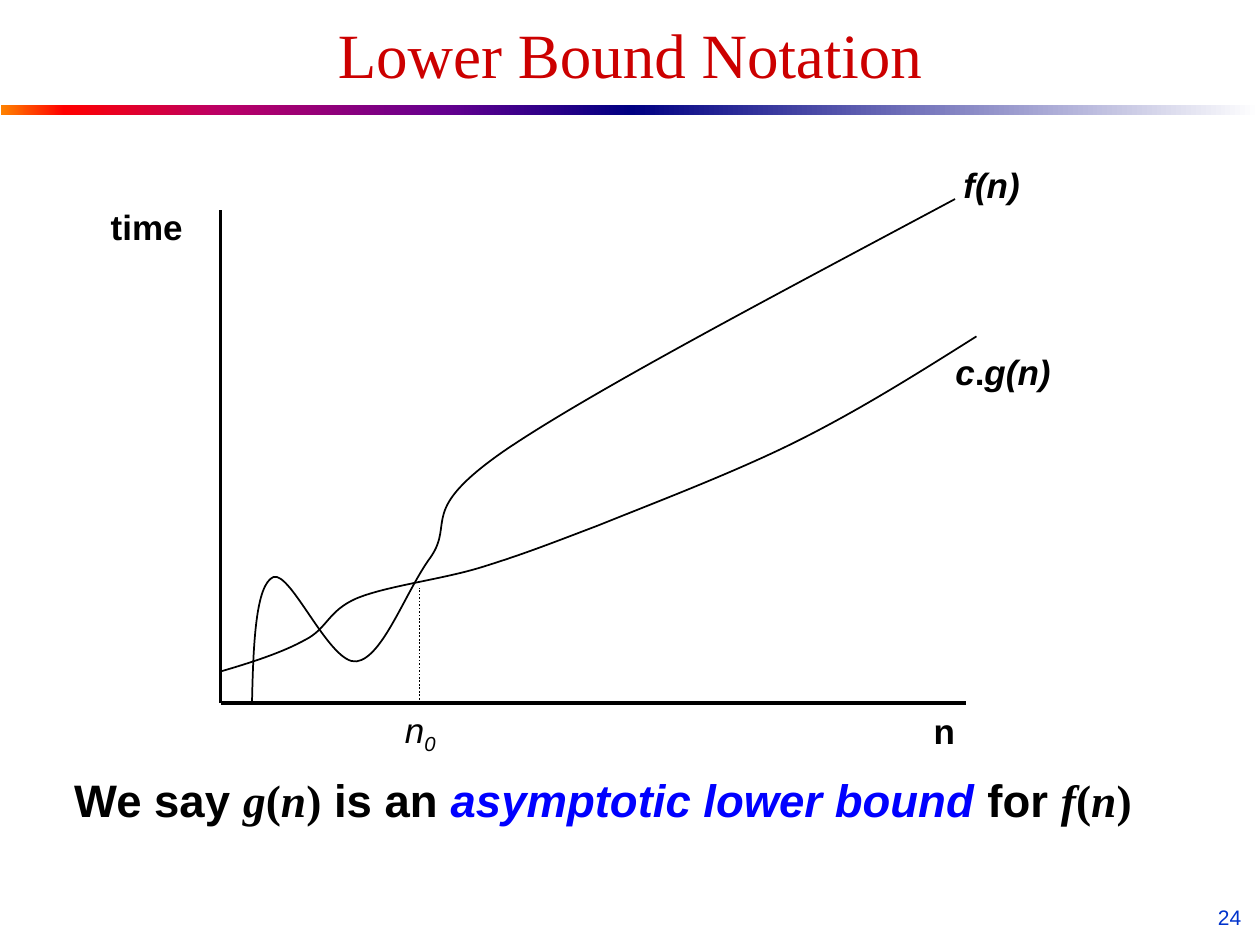
import lxml.etree
import pptx
import pptx.dml.color
import pptx.enum.dml
import pptx.enum.shapes
import pptx.enum.text
import pptx.oxml.ns
import pptx.util

Inches = pptx.util.Inches
RGBColor = pptx.dml.color.RGBColor
Align = pptx.enum.text.PP_ALIGN
Anchor = pptx.enum.text.MSO_ANCHOR
qn = pptx.oxml.ns.qn

BLACK = RGBColor(0x00, 0x00, 0x00)
WHITE = RGBColor(0xFF, 0xFF, 0xFF)
TITLE_RED = RGBColor(0xCC, 0x00, 0x00)
TERM_BLUE = RGBColor(0x00, 0x00, 0xFF)
NUMBER_BLUE = RGBColor(0x00, 0x33, 0xCC)
ORANGE = RGBColor(0xFF, 0x82, 0x00)
RED = RGBColor(0xFF, 0x00, 0x00)
MAGENTA = RGBColor(0xBA, 0x00, 0x66)
PURPLE = RGBColor(0x66, 0x00, 0x8F)
NAVY = RGBColor(0x00, 0x00, 0x82)

SANS, SERIF = "Arial", "Times New Roman"
LABEL = {"name": SANS, "size": 20, "color": BLACK}
BOLD = {**LABEL, "bold": True}
BOLD_ITALIC = {**BOLD, "italic": True}
STATEMENT = {**BOLD, "size": 26}
SYMBOL = {**STATEMENT, "name": SERIF}
VARIABLE = {**SYMBOL, "italic": True}
TERM = {**STATEMENT, "italic": True, "color": TERM_BLUE}

ORIGIN_X, ORIGIN_Y = 1.75, 5.58
THRESHOLD_X = 3.33

# Each curve is a start point followed by triples of Bézier points.
LOWER_CURVE = [
    (1.75, 5.33),
    (1.99, 5.26), (2.24, 5.18), (2.42, 5.08),
    (2.6, 4.99), (2.6, 4.85), (2.83, 4.75),
    (3.07, 4.65), (3.51, 4.6), (3.83, 4.5),
    (4.15, 4.4), (4.33, 4.33), (4.75, 4.17),
    (5.17, 4), (5.83, 3.75), (6.33, 3.5),
    (6.83, 3.25), (7.29, 2.96), (7.75, 2.67),
]
UPPER_CURVE = [
    (2, 5.58),
    (2.01, 5.11), (2.03, 4.64), (2.17, 4.58),
    (2.31, 4.53), (2.62, 5.28), (2.83, 5.25),
    (3.04, 5.22), (3.22, 4.69), (3.42, 4.42),
    (3.61, 4.14), (3.31, 4.06), (4, 3.58),
    (4.69, 3.11), (6.14, 2.35), (7.58, 1.58),
]


def add_text(slide, box, runs, align=Align.CENTER, anchor=Anchor.TOP):
    """Add a one-paragraph text box from (text, format) runs."""
    shape = slide.shapes.add_textbox(*map(Inches, box))
    frame = shape.text_frame
    frame.word_wrap = True
    frame.vertical_anchor = anchor
    paragraph = frame.paragraphs[0]
    paragraph.alignment = align
    for text, text_format in runs:
        run = paragraph.add_run()
        run.text = text
        for key, value in text_format.items():
            if key == "color":
                run.font.color.rgb = value
            elif key == "size":
                run.font.size = pptx.util.Pt(value)
            elif key == "baseline":
                run.font._element.set("baseline", str(value))
            else:
                setattr(run.font, key, value)


def add_line(slide, start, end, width, dash=None):
    connector = slide.shapes.add_connector(
        pptx.enum.shapes.MSO_CONNECTOR.STRAIGHT, *map(Inches, start + end))
    connector.line.color.rgb = BLACK
    connector.line.width = pptx.util.Pt(width)
    if dash:
        connector.line.dash_style = dash
    lxml.etree.SubElement(connector._element.spPr, qn("a:effectLst"))


def add_curve(slide, points):
    """Draw an open outline and join each three of its points into a Bézier."""
    start, *others = [(Inches(x), Inches(y)) for x, y in points]
    builder = slide.shapes.build_freeform(*start)
    builder.add_line_segments(others, close=False)
    shape = builder.convert_to_shape()
    segments = list(shape._element.iter(qn("a:lnTo")))
    for index in range(0, len(segments), 3):
        bezier = lxml.etree.Element(qn("a:cubicBezTo"))
        segments[index].addprevious(bezier)
        for segment in segments[index:index + 3]:
            bezier.append(segment[0])
            segment.getparent().remove(segment)
    shape.fill.background()
    shape.line.color.rgb = BLACK
    shape.line.width = pptx.util.Pt(1)
    shape.shadow.inherit = False


def add_gradient_bar(slide, left, stops):
    shape = slide.shapes.add_shape(
        pptx.enum.shapes.MSO_SHAPE.RECTANGLE,
        Inches(left), Inches(0.83), Inches(5), Inches(0.08))
    shape.shadow.inherit = False
    shape.line.fill.background()
    shape.fill.gradient()
    shape.fill.gradient_angle = 0
    stop_list = next(shape._element.iter(qn("a:gsLst")))
    for stop in list(stop_list):
        stop_list.remove(stop)
    for percent, color in stops:
        stop = lxml.etree.SubElement(
            stop_list, qn("a:gs"), pos=str(percent * 1000))
        lxml.etree.SubElement(stop, qn("a:srgbClr"), val=str(color))


def add_graph(slide):
    add_line(slide, (ORIGIN_X, 1.67), (ORIGIN_X, ORIGIN_Y), 2)
    add_line(slide, (ORIGIN_X, ORIGIN_Y), (7.67, ORIGIN_Y), 2)
    add_line(slide, (THRESHOLD_X, ORIGIN_Y), (THRESHOLD_X, 4.67), 1,
             pptx.enum.dml.MSO_LINE.ROUND_DOT)
    add_curve(slide, LOWER_CURVE)
    add_curve(slide, UPPER_CURVE)

    italic = {**LABEL, "italic": True}
    labels = [
        (0.75, 1.58, 0.83, [("time", BOLD)]),
        (7.08, 5.58, 0.83, [("n", BOLD)]),
        (2.92, 5.57, 0.83,
         [("n", italic), ("0", {**italic, "baseline": -25000})]),
        (7.42, 2.73, 1.08,
         [("c", BOLD_ITALIC), (".", BOLD), ("g(n)", BOLD_ITALIC)]),
        (7.33, 1.25, 1.08, [("f(n)", BOLD_ITALIC)]),
    ]
    for left, top, width, runs in labels:
        add_text(slide, (left, top, width, 0.43), runs)


def function_of_n(name):
    return [(name, VARIABLE), ("(", SYMBOL), ("n", VARIABLE), (")", SYMBOL)]


def main():
    presentation = pptx.Presentation()
    presentation.slide_width = Inches(10)
    presentation.slide_height = Inches(7.5)
    slide = presentation.slides.add_slide(presentation.slide_layouts[6])

    add_gradient_bar(slide, 0.01, [(0, ORANGE), (10, RED), (35, MAGENTA),
                                   (70, PURPLE), (100, NAVY)])
    add_gradient_bar(slide, 5, [(0, NAVY), (100, WHITE)])
    add_text(slide, (0.5, 0.17, 9, 0.5),
             [("Lower Bound Notation",
               {"name": SERIF, "size": 36, "color": TITLE_RED})],
             anchor=Anchor.MIDDLE)
    add_graph(slide)
    add_text(slide, (0.49, 6.08, 8.6, 0.53),
             [("We say ", STATEMENT), *function_of_n("g"),
              (" is an ", STATEMENT), ("asymptotic lower bound", TERM),
              (" for ", STATEMENT), *function_of_n("f")],
             align=Align.LEFT)
    add_text(slide, (7.62, 7.13, 2.33, 0.27),
             [("24", {"name": SANS, "size": 12, "color": NUMBER_BLUE})],
             align=Align.RIGHT)
    presentation.save("out.pptx")


if __name__ == "__main__":
    main()
